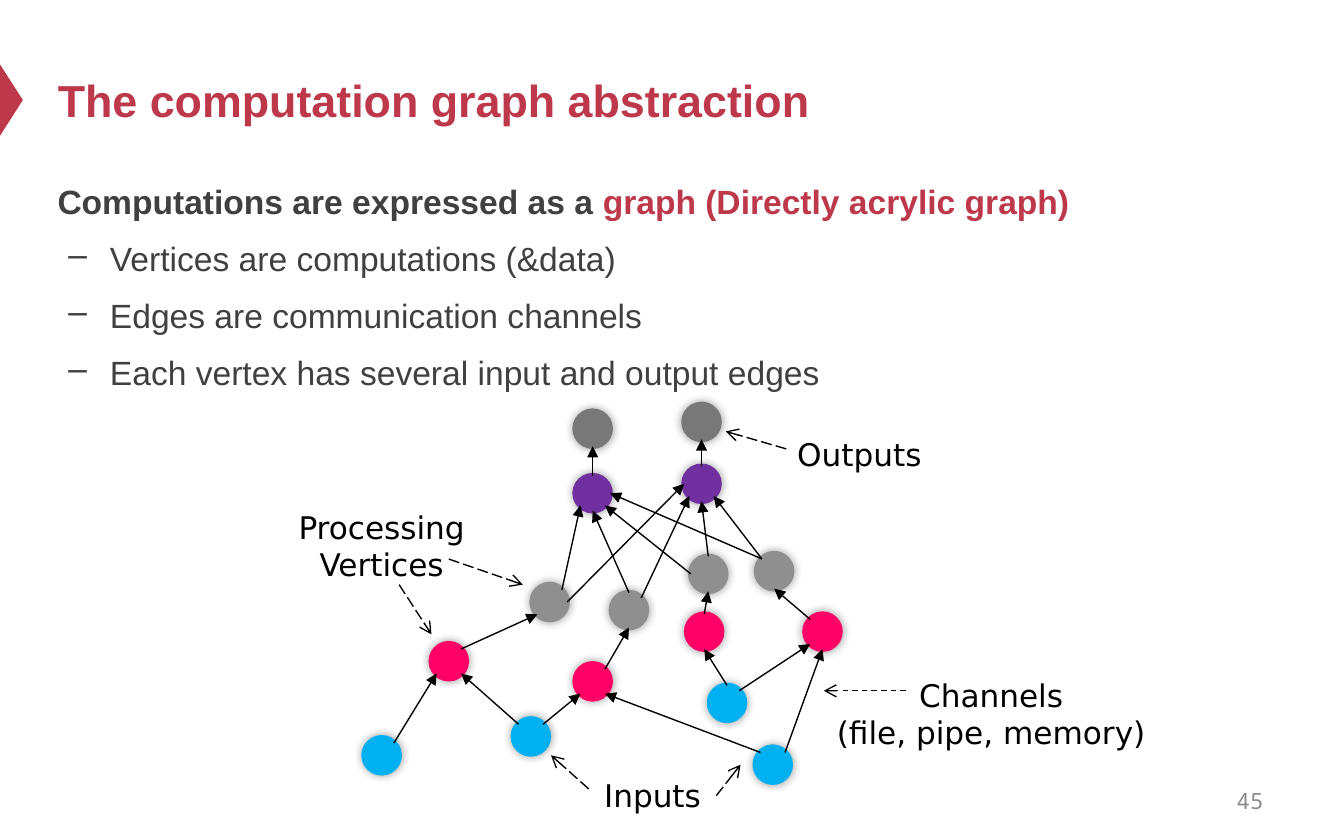
"""Build a slide that explains the computation graph abstraction."""
from lxml import etree
from pptx import Presentation
from pptx import util as u
from pptx.dml.color import RGBColor
from pptx.enum import dml, shapes, text
from pptx.oxml.ns import qn

COLORS = {
    "accent": "BE384B", "body": "404040", "number": "8C8C8C", "ink": "000000",
    "input": "00B0F0", "process": "FF0066", "merge": "8F8F8F",
    "reduce": "7030A0", "output": "787878",
}
COLUMNS, ROWS = 100, 62.5
NODE = 2.6
SITES = {
    "n": (0.5, 0), "s": (0.5, 1), "w": (0, 0.5), "e": (1, 0.5),
    "nw": (0.15, 0.15), "ne": (0.85, 0.15), "sw": (0.15, 0.85), "se": (0.85, 0.85),
}
VERTICES = {
    "input": [(27.1, 54.9), (38.2, 53.5), (52.8, 51), (56.2, 55.6)],
    "process": [(32.1, 47.9), (42.8, 49.4), (51.1, 45.7), (59.9, 45.7)],
    "merge": [(39.6, 43.5), (45.5, 44.1), (51.4, 41.4), (56.3, 41.2)],
    "reduce": [(42.8, 35.4), (50.9, 34.7)],
    "output": [(42.8, 30.6), (50.9, 30.1)],
}
CHANNELS = {
    ("input", "process"): [
        (0, "ne", 0, "sw"), (1, "nw", 0, "se"), (1, "ne", 1, "sw"), (3, "nw", 1, "se"),
        (2, "n", 2, "s"), (3, "ne", 3, "s"), (2, "ne", 3, "sw")],
    ("process", "merge"): [
        (0, "ne", 0, "sw"), (1, "ne", 1, "s"), (2, "n", 2, "s"), (3, "nw", 3, "s")],
    ("merge", "reduce"): [
        (0, "ne", 0, "sw"), (0, "e", 1, "w"), (1, "n", 0, "s"), (1, "ne", 1, "sw"),
        (2, "w", 0, "se"), (2, "n", 1, "s"), (3, "nw", 1, "se"), (3, "nw", 0, "e")],
    ("reduce", "output"): [(0, "n", 0, "s"), (1, "n", 1, "s")],
}
LABELS = [
    ("Inputs", (43.8, 57.3, 9.5, 3.8)),
    ("Outputs", (58.3, 31.9, 11.3, 3.8)),
    ("Channels\n(file, pipe, memory)", (60.9, 49.8, 25.7, 6.6)),
    ("Processing\nVertices", (21.2, 37.3, 14.4, 6.6)),
]
LONG, SHORT = dml.MSO_LINE.LONG_DASH, dml.MSO_LINE.DASH
POINTERS = [
    ((33.4, 41.6), (38.9, 43.5), LONG), ((29.7, 43.5), (32.1, 47.2), LONG),
    ((53.3, 59.2), (55.1, 56.9), LONG), ((43.8, 58.7), (41, 56.2), LONG),
    ((58.5, 33.4), (54, 32.1), LONG), ((67.4, 51.4), (61.3, 51.4), SHORT),
]
POINTS = [
    "Vertices are computations (&data)",
    "Edges are communication channels",
    "Each vertex has several input and output edges",
]


def rgb(name):
    """Return the named colour."""
    return RGBColor.from_string(COLORS[name])


def write(paragraph, words, size=18, color="body", bold=False, face="Arial", align="LEFT"):
    """Add formatted words to a paragraph."""
    run = paragraph.add_run()
    run.text = words
    run.font.size, run.font.bold, run.font.name = u.Pt(size), bold, face
    run.font.color.rgb = rgb(color)
    paragraph.alignment = getattr(text.PP_ALIGN, align)


class GraphSlide:
    """Holds the style and the slide, and draws each kind of element on its grid."""

    def __init__(self, deck):
        """Add a title-only slide and work out the grid cell."""
        self.slide = deck.slides.add_slide(deck.slide_layouts[5])
        self.cell_width = deck.slide_width / COLUMNS
        self.cell_height = deck.slide_height / ROWS

    def place(self, *lengths):
        """Turn alternating columns and rows into slide lengths."""
        cells = (self.cell_width, self.cell_height)
        return [round(length * cells[i % 2]) for i, length in enumerate(lengths)]

    def title(self, words, box):
        """Move and format the title placeholder."""
        heading = self.slide.shapes.title
        heading.left, heading.top, heading.width, heading.height = self.place(*box)
        heading.text_frame.vertical_anchor = text.MSO_ANCHOR.MIDDLE
        write(heading.text_frame.paragraphs[0], words, size=24, color="accent", bold=True)

    def frame(self, box, wrap=True, anchor="TOP"):
        """Add a text box and return its frame."""
        frame = self.slide.shapes.add_textbox(*self.place(*box)).text_frame
        frame.word_wrap = wrap
        frame.vertical_anchor = getattr(text.MSO_ANCHOR, anchor)
        return frame

    def statement(self, parts, points, box):
        """Add a lead line of coloured parts and dashed points below it."""
        frame = self.frame(box)
        lead = frame.paragraphs[0]
        lead.line_spacing = 1.2
        for words, color in parts:
            write(lead, words, color=color, bold=True)
        for words in points:
            point = frame.add_paragraph()
            point.level, point.line_spacing, point.space_before = 1, 1.2, u.Pt(4.6)
            properties = point._p.get_or_add_pPr()
            properties.set("marL", str(u.Inches(0.39)))
            properties.set("indent", str(u.Inches(-0.31)))
            etree.SubElement(properties, qn("a:buChar"), char="–")
            write(point, words)

    def label(self, words, box):
        """Add a centred label, one paragraph a line."""
        frame = self.frame(box, wrap=False)
        for i, line in enumerate(words.split("\n")):
            paragraph = frame.add_paragraph() if i else frame.paragraphs[0]
            write(paragraph, line, size=16.7, color="ink", face="DejaVu Sans", align="CENTER")

    def shape(self, kind, box, color):
        """Add a filled preset shape without an outline or shadow."""
        item = self.slide.shapes.add_shape(kind, *self.place(*box))
        item.shadow.inherit = False
        item.fill.solid()
        item.fill.fore_color.rgb = rgb(color)
        item.line.fill.background()
        return item

    def vertex(self, spot, color):
        """Add a graph vertex with a soft glow of shadow."""
        kind = shapes.MSO_SHAPE.FLOWCHART_CONNECTOR
        circle = self.shape(kind, (*spot, NODE, NODE), color)
        circle.line.color.rgb = rgb(color)
        circle.line.width = u.Pt(3)
        effects = circle.element.spPr.find(qn("a:effectLst"))
        shadow = etree.SubElement(effects, qn("a:outerShdw"), blurRad=str(u.Pt(5)),
                                  dist="0", dir="0", rotWithShape="0")
        tint = etree.SubElement(shadow, qn("a:srgbClr"), val=COLORS["ink"])
        etree.SubElement(tint, qn("a:alpha"), val="40000")

    def arrow(self, start, end, head="triangle", dash=None):
        """Add a straight arrow between two grid spots."""
        arrow = self.slide.shapes.add_connector(
            shapes.MSO_CONNECTOR.STRAIGHT, *self.place(*start, *end))
        arrow.line.color.rgb = rgb("ink")
        arrow.line.width = u.Pt(0.75)
        if dash:
            arrow.line.dash_style = dash
        etree.SubElement(arrow.line._get_or_add_ln(), qn("a:tailEnd"), type=head)
        etree.SubElement(arrow.element.spPr, qn("a:effectLst"))


def site(layer, index, side):
    """Return the grid spot at one side of a vertex."""
    return [start + NODE * share for start, share in zip(VERTICES[layer][index], SITES[side])]


def main():
    """Build and save the slide."""
    deck = Presentation()
    deck.slide_width, deck.slide_height = u.Inches(10), u.Inches(6.25)
    page = GraphSlide(deck)
    page.shape(shapes.MSO_SHAPE.ISOSCELES_TRIANGLE, (-1.8, 6.6, 5.3, 1.7), "accent").rotation = 90
    page.title("The computation graph abstraction", (3.3, 2.5, 90, 9.8))
    page.statement([("Computations are expressed as a ", "body"),
                    ("graph (Directly acrylic graph)", "accent")],
                   POINTS, (3.3, 12.4, 90, 41.2))
    number = page.frame((71.7, 57.9, 23.3, 3.3), anchor="MIDDLE")
    write(number.paragraphs[0], "45", size=12, color="number",
          face="Noto Sans Mono", align="RIGHT")
    for layer, spots in VERTICES.items():
        for spot in spots:
            page.vertex(spot, layer)
    for (source, target), links in CHANNELS.items():
        for first, leaving, second, entering in links:
            page.arrow(site(source, first, leaving), site(target, second, entering))
    for words, box in LABELS:
        page.label(words, box)
    for start, end, dash in POINTERS:
        page.arrow(start, end, head="arrow", dash=dash)
    deck.save("out.pptx")


if __name__ == "__main__":
    main()
